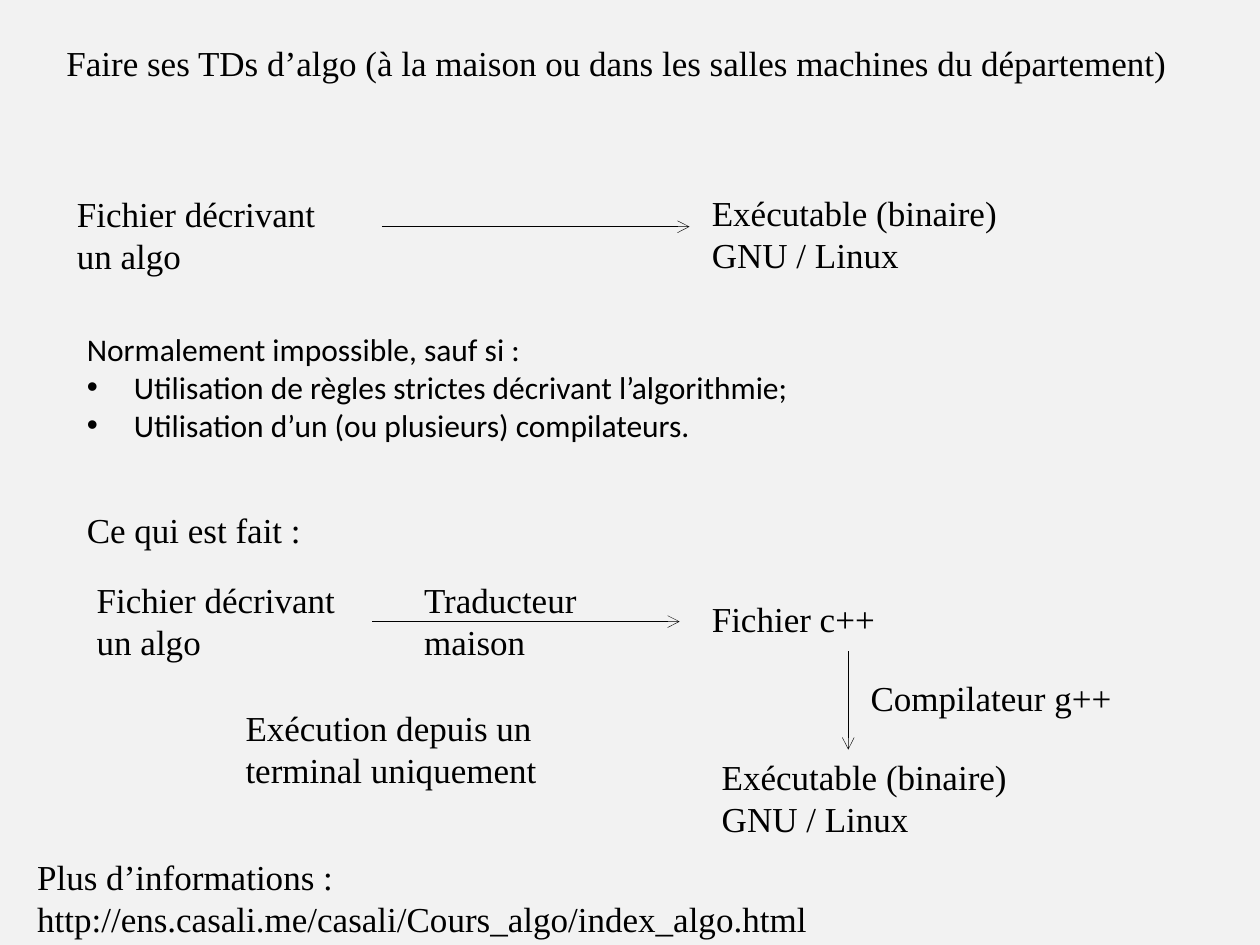
from dataclasses import dataclass

from lxml import etree
from pptx import Presentation
from pptx.dml.color import RGBColor
from pptx.enum.shapes import MSO_CONNECTOR
from pptx.enum.text import MSO_AUTO_SIZE
from pptx.oxml.ns import qn
from pptx.util import Cm, Pt

STRAIGHT = MSO_CONNECTOR.STRAIGHT
GROW = MSO_AUTO_SIZE.SHAPE_TO_FIT_TEXT


@dataclass(frozen=True)
class Theme:
    """Colours, fonts and sizes of the slide."""
    ink: RGBColor = RGBColor(0, 0, 0)
    back: RGBColor = RGBColor(0xF2, 0xF2, 0xF2)
    serif: str = "Times New Roman"
    sans: str = "Calibri"
    large: Pt = Pt(20)
    small: Pt = Pt(18)
    thin: Pt = Pt(0.25)
    indent: Cm = Cm(0.95)


THEME = Theme()
SOURCE = "Fichier décrivant un algo"
BINARY = "Exécutable (binaire) GNU / Linux"


def add_bullet(para):
    """Give a paragraph a hanging round bullet."""
    props = para._p.get_or_add_pPr()
    props.set("marL", str(THEME.indent))
    props.set("indent", str(-THEME.indent))
    etree.SubElement(props, qn("a:buFont"), typeface="Arial")
    etree.SubElement(props, qn("a:buChar"), char="•")


def add_text(slide, text, left, top, width, height=1.11,
             font=THEME.serif, size=THEME.large, points=()):
    """Add a wrapped text box with optional bullet points below the text."""
    box = slide.shapes.add_textbox(Cm(left), Cm(top), Cm(width), Cm(height))
    frame = box.text_frame
    frame.word_wrap = True
    frame.auto_size = GROW
    frame.text = text
    for point in points:
        para = frame.add_paragraph()
        add_bullet(para)
        para.add_run().text = point
    for para in frame.paragraphs:
        for run in para.runs:
            run.font.name = font
            run.font.size = size
            run.font.color.rgb = THEME.ink


def add_arrow(slide, left, top, across=0, down=0):
    """Add a thin arrow from a point by the given lengths."""
    arrow = slide.shapes.add_connector(
        STRAIGHT, Cm(left), Cm(top), Cm(left + across), Cm(top + down))
    arrow.line.color.rgb = THEME.ink
    arrow.line.width = THEME.thin
    etree.SubElement(arrow.line._get_or_add_ln(), qn("a:tailEnd"), type="arrow")
    etree.SubElement(arrow._element.spPr, qn("a:effectLst"))


def add_goal(slide):
    """Show the wish: from an algorithm straight to a binary."""
    add_text(slide, SOURCE, 1.3, 3.76, 5.8, 1.96)
    add_arrow(slide, 7.7, 4.57, across=6.2)
    add_text(slide, BINARY, 14.1, 3.73, 6.4, 1.96)
    add_text(slide, "Normalement impossible, sauf si :", 1.5, 6.53, 17.8, 2.82,
             font=THEME.sans, size=THEME.small,
             points=("Utilisation de règles strictes décrivant l’algorithmie;",
                     "Utilisation d’un (ou plusieurs) compilateurs."))


def add_steps(slide):
    """Show the real chain: translate, compile, run."""
    add_text(slide, "Ce qui est fait :", 1.5, 10.13, 9.2)
    add_text(slide, SOURCE, 1.7, 11.53, 5.8, 1.96)
    add_arrow(slide, 7.5, 12.53, across=6.2)
    add_text(slide, "Traducteur maison", 8.3, 11.53, 4.4, 1.96)
    add_text(slide, "Fichier c++", 14.1, 11.93, 6.2)
    add_arrow(slide, 17.1, 13.13, down=1.98)
    add_text(slide, "Compilateur g++", 17.3, 13.52, 5.4)
    add_text(slide, BINARY, 14.3, 15.11, 6.4, 1.96)
    add_text(slide, "Exécution depuis un terminal uniquement", 4.7, 14.12, 7, 1.96)


def main():
    """Build the slide and save it."""
    deck = Presentation()
    deck.slide_width, deck.slide_height = Cm(25.4), Cm(19.05)
    slide = deck.slides.add_slide(deck.slide_layouts[6])
    fill = slide.background.fill
    fill.solid()
    fill.fore_color.rgb = THEME.back
    add_text(slide, "Faire ses TDs d’algo (à la maison ou dans les salles "
             "machines du département)", 1.09, 0.72, 23.4)
    add_goal(slide)
    add_steps(slide)
    add_text(slide, "Plus d’informations : "
             "http://ens.casali.me/casali/Cours_algo/index_algo.html",
             0.5, 17.13, 17.4, 1.96)
    deck.save("out.pptx")


if __name__ == "__main__":
    main()
